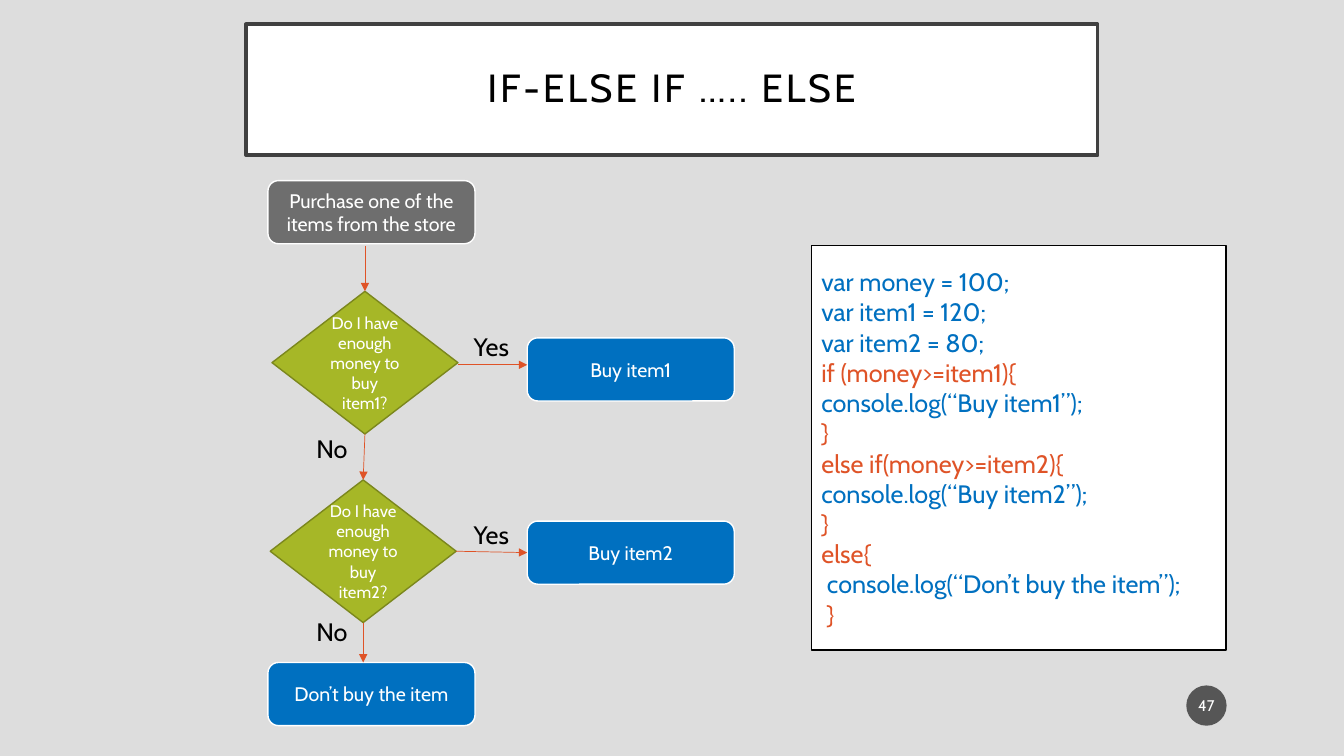
from lxml import etree
from pptx import Presentation
from pptx.dml.color import RGBColor
from pptx.enum.shapes import MSO_CONNECTOR, MSO_SHAPE
from pptx.enum.text import MSO_ANCHOR, MSO_AUTO_SIZE, PP_ALIGN
from pptx.oxml.ns import qn
from pptx.util import Pt

RECTANGLE = MSO_SHAPE.RECTANGLE
ROUNDED = MSO_SHAPE.ROUNDED_RECTANGLE
DIAMOND = MSO_SHAPE.DIAMOND
OVAL = MSO_SHAPE.OVAL
STRAIGHT = MSO_CONNECTOR.STRAIGHT
MIDDLE = MSO_ANCHOR.MIDDLE
LEFT, CENTER = PP_ALIGN.LEFT, PP_ALIGN.CENTER
NO_AUTOFIT = MSO_AUTO_SIZE.NONE
TOP_SIDE, BOTTOM_SIDE, LEFT_SIDE, RIGHT_SIDE = 0, 2, 1, 3

THEME = {
    "font": "Cabin",
    "background": RGBColor.from_string("DDDDDD"),
    "white": RGBColor.from_string("FFFFFF"),
    "black": RGBColor.from_string("000000"),
    "frame": RGBColor.from_string("404040"),
    "badge": RGBColor.from_string("1D1D1D"),
    "start": RGBColor.from_string("6E6E6E"),
    "blue": RGBColor.from_string("0070C0"),
    "green": RGBColor.from_string("A6B727"),
    "olive": RGBColor.from_string("7B871D"),
    "orange": RGBColor.from_string("DF5327"),
    "title_size": Pt(28),
    "code_size": Pt(18),
    "box_size": Pt(14),
    "question_size": Pt(12),
    "badge_size": Pt(11),
}


def add_run(paragraph, text, size, color):
    run = paragraph.add_run()
    run.text = text
    for name, value in {"name": THEME["font"], "size": THEME[size]}.items():
        setattr(run.font, name, value)
    run.font.color.rgb = THEME[color]
    return run


def add_box(kind, position, fill, line, text="", size="box_size"):
    shape = slide.shapes.add_shape(kind, *map(Pt, position))
    shape.shadow.inherit = False
    shape.fill.solid()
    shape.fill.fore_color.rgb = THEME[fill]
    if line:
        shape.line.color.rgb = THEME[line]
        shape.line.width = Pt(1)
    else:
        shape.line.fill.background()
    shape.text_frame.word_wrap = True
    shape.text_frame.vertical_anchor = MIDDLE
    if text:
        paragraph = shape.text_frame.paragraphs[0]
        paragraph.alignment = CENTER
        add_run(paragraph, text, size, "white")
    return shape


presentation = Presentation()
presentation.slide_width = Pt(960)
presentation.slide_height = Pt(540)
slide = presentation.slides.add_slide(presentation.slide_layouts[5])
slide.background.fill.solid()
slide.background.fill.fore_color.rgb = THEME["background"]

title = slide.shapes.title
title_place = {"left": 175.7, "top": 17.3, "width": 608.4, "height": 93.6}
for name, value in title_place.items():
    setattr(title, name, Pt(value))
title.fill.solid()
title.fill.fore_color.rgb = THEME["white"]
title.line.color.rgb = THEME["frame"]
title.line.width = Pt(2.5)
title_format = {"auto_size": NO_AUTOFIT, "word_wrap": True, "vertical_anchor": MIDDLE}
for side in ("left", "top", "right", "bottom"):
    title_format[f"margin_{side}"] = Pt(14.4)
for name, value in title_format.items():
    setattr(title.text_frame, name, value)
heading = title.text_frame.paragraphs[0]
heading.alignment = CENTER
heading.line_spacing = 0.9
heading_run = add_run(heading, "IF-ELSE IF ….. ELSE", "title_size", "black")
heading_run.font._element.set("spc", "200")

badge = add_box(OVAL, (847.4, 489.6, 28.8, 28.8), "badge", None, "47", "badge_size")
badge.text_frame.margin_left = badge.text_frame.margin_right = Pt(1.44)
badge_color = badge.fill._xPr.find(qn("a:solidFill"))[0]
etree.SubElement(badge_color, qn("a:alpha")).set("val", "70000")

code_paragraphs = [
    [
        ("var money = 100;", "blue"),
        ("var item1 = 120;", "blue"),
        ("var item2 = 80;", "blue"),
        ("if (money>=item1){", "orange"),
    ],
    [
        ("console.log(“Buy item1”);", "blue"),
        ("}", "orange"),
        ("else if(money>=item2){", "orange"),
        ("console.log(“Buy item2”);", "blue"),
        ("}", "orange"),
        ("else{", "orange"),
        (" console.log(“Don’t buy the item”);", "blue"),
        (" }", "orange"),
    ],
]
code_box = add_box(RECTANGLE, (579.6, 175.5, 296.2, 288.7), "white", "black")
code_frame = code_box.text_frame
for index, code_lines in enumerate(code_paragraphs):
    paragraph = code_frame.add_paragraph() if index else code_frame.paragraphs[0]
    paragraph.alignment = LEFT
    for line_index, (text, color) in enumerate(code_lines):
        if line_index:
            paragraph.add_line_break()
        add_run(paragraph, text, "code_size", color)

BOX_SIZE = (147.9, 45.1)
DIAMOND_SIZE = (132.8, 101.9)
STORE_LEFT, BUY_LEFT = 191.4, 376.6
add_box(ROUNDED, (STORE_LEFT, 129, *BOX_SIZE), "start", "white",
        "Purchase one of the items from the store")
add_box(ROUNDED, (STORE_LEFT, 473.2, *BOX_SIZE), "blue", "white", "Don’t buy the item")

questions, purchases = [], []
steps = [("item1", 194.3, 208.1, 241.3), ("item2", 193, 342.8, 372.2)]
for item, question_left, question_top, buy_top in steps:
    questions.append(add_box(
        DIAMOND, (question_left, question_top, *DIAMOND_SIZE), "green", "olive",
        f"Do I have enough money to buy {item}?", "question_size"))
    purchases.append(add_box(
        ROUNDED, (BUY_LEFT, buy_top, *BOX_SIZE), "blue", "white", f"Buy {item}"))

first_question, second_question = questions
arrows = [
    ((260.7, 175.7), (260.7, 208.1), None, (first_question, TOP_SIDE)),
    ((327.1, 260.6), (376.6, 260.6), None, None),
    ((260.7, 310), (259.4, 342.8), (first_question, BOTTOM_SIDE), (second_question, TOP_SIDE)),
    ((325.8, 394.6), (376.6, 394.6), (second_question, RIGHT_SIDE), (purchases[1], LEFT_SIDE)),
    ((259.4, 444.7), (259.4, 473.2), (second_question, BOTTOM_SIDE), None),
]
for start, end, source, target in arrows:
    arrow = slide.shapes.add_connector(STRAIGHT, *map(Pt, start + end))
    if source:
        arrow.begin_connect(*source)
    if target:
        arrow.end_connect(*target)
    arrow.line.color.rgb = THEME["orange"]
    arrow.line.width = Pt(0.5)
    etree.SubElement(arrow.line._get_or_add_ln(), qn("a:tailEnd")).set("type", "triangle")
    etree.SubElement(arrow._element.spPr, qn("a:effectLst"))

answers = [("Yes", 331.2, 233.3), ("No", 218.9, 306), ("Yes", 331.2, 367.2), ("No", 218.9, 437)]
for text, left, top in answers:
    label = slide.shapes.add_textbox(Pt(left), Pt(top), Pt(59.8), Pt(28.8))
    label.text_frame.word_wrap = True
    add_run(label.text_frame.paragraphs[0], text, "code_size", "black")

presentation.save("out.pptx")
